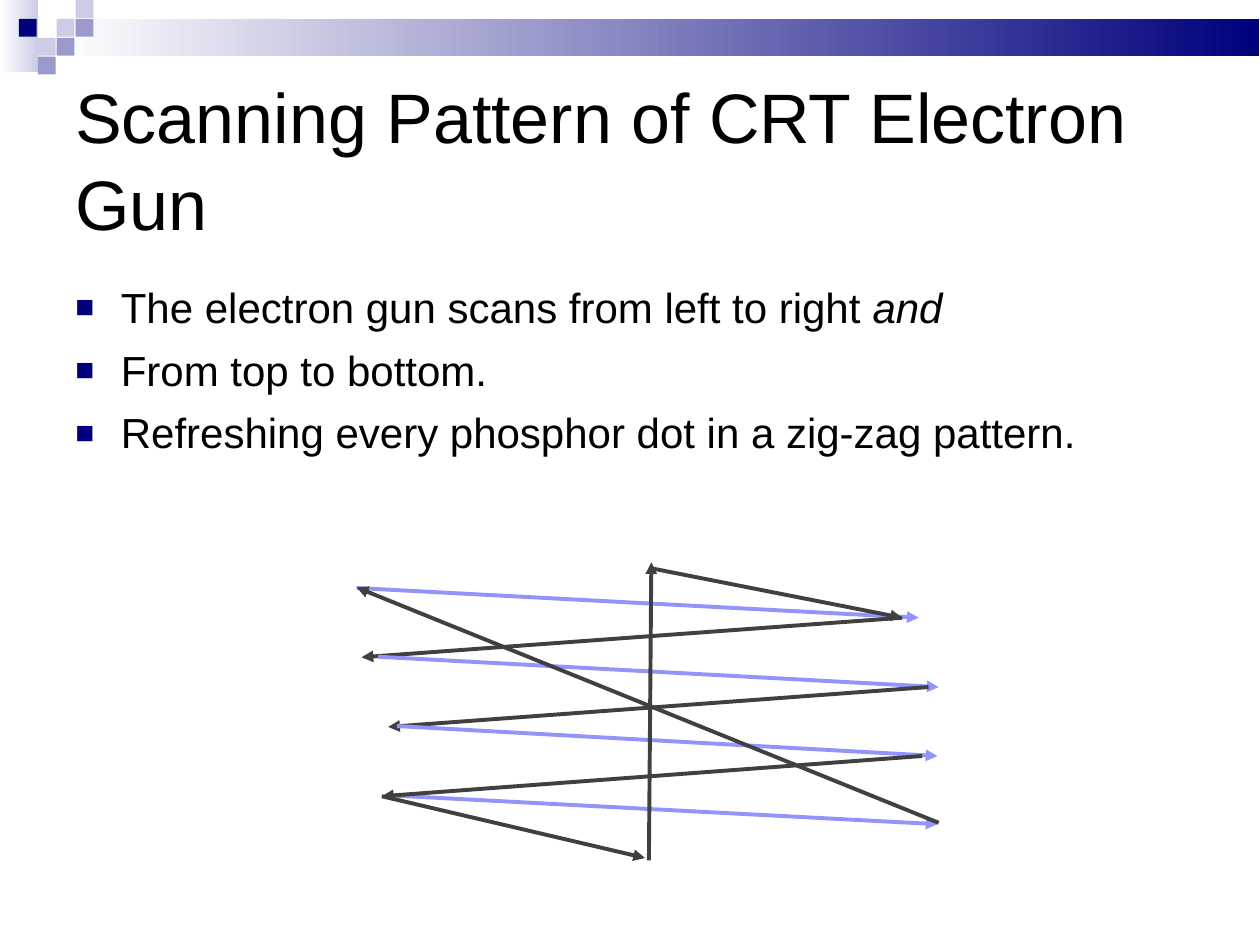
from lxml import etree
from pptx import Presentation
from pptx.dml.color import RGBColor
from pptx.enum import shapes, text
from pptx.oxml.ns import qn
from pptx.util import Pt

THEME = dict(font="Arial", title=40, body=24, ink="000000", navy="00007D",
             mid="9999CC", pale="CCCCE6", white="FFFFFF",
             scan="9393FC", back="404040", line=2.25, lead=1.04)

TITLE = "Scanning Pattern of CRT Electron Gun"
POINTS = [
    [("The electron gun scans from left to right ", False), ("and", True)],
    [("From top to bottom.", False)],
    [("Refreshing every phosphor dot in a zig-zag pattern.", False)],
]

# Header: gradient bars (left, top, width, height, end colour)
BARS = [(0, 0, 21.6, 41, "pale"), (32.4, 10.8, 687, 21, "navy")]
# Header squares (column, row, colour) on a regular grid
STEP, SIDE = 10.8, 10.2
TILES = [(3, 1, "pale"), (4, 0, "pale"), (4, 1, "mid"), (2, 2, "pale"),
         (1, 1, "navy"), (3, 2, "mid"), (2, 3, "mid")]

# Beam strokes (x1, y1, x2, y2, colour), back to front
BEAMS = [
    (203.8, 336, 525, 353, "scan"),
    (515.5, 353, 206.6, 375.6, "back"),
    (216, 375.3, 536.4, 392.6, "scan"),
    (530.6, 392.6, 221.8, 415.4, "back"),
    (226.8, 414.9, 535.7, 432, "scan"),
    (221, 454.4, 535.7, 471, "scan"),
    (527, 432, 218.2, 455, "back"),
    (536.4, 470.2, 203.8, 335.7, "back"),
    (370.8, 491.6, 372.2, 321.3, "back"),
    (371.8, 324.7, 515.5, 353, "back"),
    (218.2, 455, 368.6, 490.3, "back"),
]


def color(key):
    return RGBColor.from_string(THEME[key])


def add_rect(slide, x, y, w, h):
    box = slide.shapes.add_shape(shapes.MSO_SHAPE.RECTANGLE,
                                 Pt(x), Pt(y), Pt(w), Pt(h))
    box.shadow.inherit = False
    box.line.fill.background()
    return box


def add_bar(slide, x, y, w, h, end):
    fill = add_rect(slide, x, y, w, h).fill
    fill.gradient()
    fill.gradient_angle = 0
    for stop, key in zip(fill.gradient_stops, ("white", end)):
        stop.color.rgb = color(key)


def add_tile(slide, col, row, key):
    fill = add_rect(slide, col * STEP, row * STEP, SIDE, SIDE).fill
    fill.solid()
    fill.fore_color.rgb = color(key)


def add_box(slide, x, y, w, h, anchor):
    frame = slide.shapes.add_textbox(Pt(x), Pt(y), Pt(w), Pt(h)).text_frame
    frame.word_wrap = True
    frame.vertical_anchor = anchor
    return frame


def style(run, size, italic=False):
    font = run.font
    font.name, font.size, font.italic = THEME["font"], Pt(size), italic
    font.color.rgb = color("ink")


def add_bullet(para):
    props = para._p.get_or_add_pPr()
    props.set("marL", str(Pt(26)))
    props.set("indent", str(-Pt(26)))
    tint = etree.SubElement(props, qn("a:buClr"))
    etree.SubElement(tint, qn("a:srgbClr"), val=THEME["navy"])
    etree.SubElement(props, qn("a:buSzPct"), val="75000")
    etree.SubElement(props, qn("a:buFont"), typeface=THEME["font"])
    etree.SubElement(props, qn("a:buChar"), char="■")


def add_beam(slide, x1, y1, x2, y2, key):
    beam = slide.shapes.add_connector(shapes.MSO_CONNECTOR.STRAIGHT,
                                      Pt(x1), Pt(y1), Pt(x2), Pt(y2))
    beam.line.color.rgb = color(key)
    beam.line.width = Pt(THEME["line"])
    etree.SubElement(beam.line._get_or_add_ln(), qn("a:tailEnd"),
                     type="triangle")
    etree.SubElement(beam._element.spPr, qn("a:effectLst"))


def main():
    deck = Presentation()
    deck.slide_width, deck.slide_height = Pt(720), Pt(540)
    slide = deck.slides.add_slide(deck.slide_layouts[6])

    # Header decoration
    for bar in BARS:
        add_bar(slide, *bar)
    for tile in TILES:
        add_tile(slide, *tile)

    # Title
    frame = add_box(slide, 36, 36, 648, 108, text.MSO_ANCHOR.MIDDLE)
    frame.text = TITLE
    para = frame.paragraphs[0]
    para.line_spacing = THEME["lead"]
    style(para.runs[0], THEME["title"])

    # Bullet points
    frame = add_box(slide, 36, 156, 648, 306, text.MSO_ANCHOR.TOP)
    for i, point in enumerate(POINTS):
        para = frame.add_paragraph() if i else frame.paragraphs[0]
        para.space_before = Pt(6)
        para.line_spacing = THEME["lead"]
        add_bullet(para)
        for words, italic in point:
            run = para.add_run()
            run.text = words
            style(run, THEME["body"], italic)

    # Scanning pattern
    for beam in BEAMS:
        add_beam(slide, *beam)

    deck.save("out.pptx")


if __name__ == "__main__":
    main()
